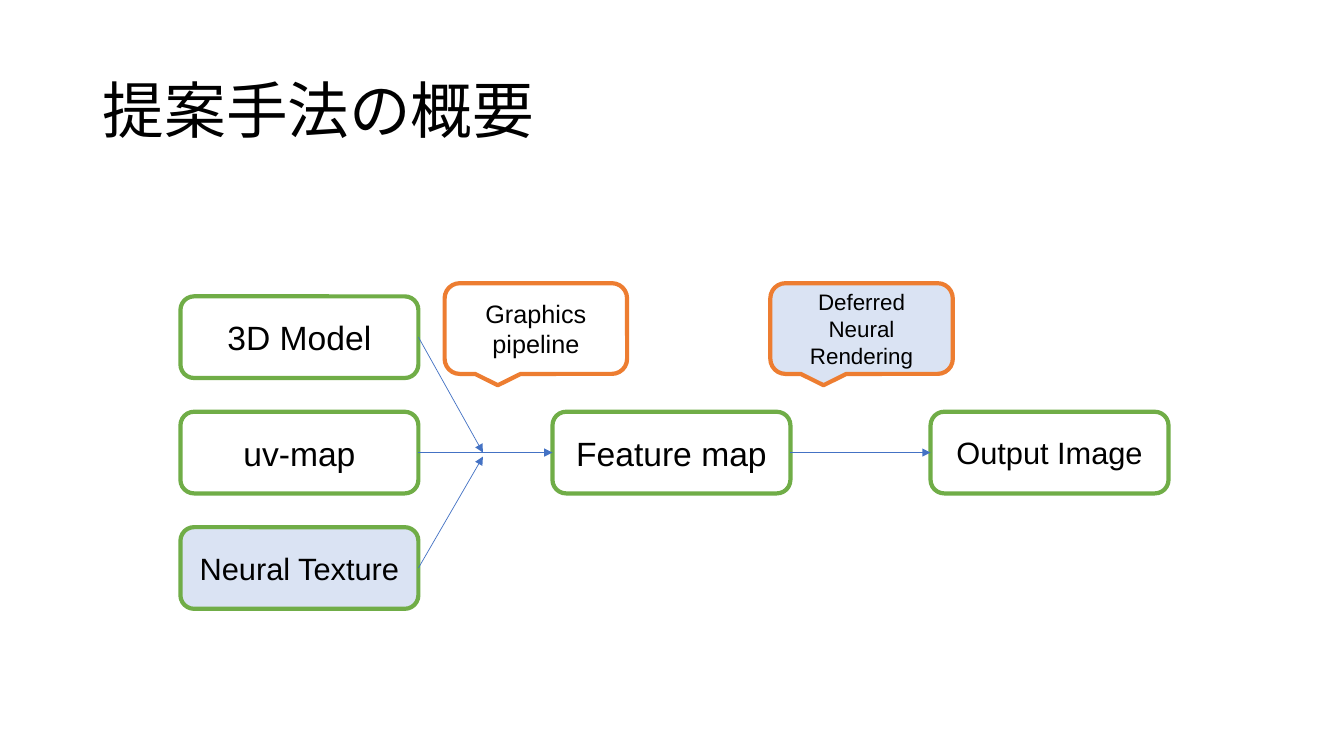
from dataclasses import dataclass

from lxml import etree
from pptx import Presentation
from pptx import util as u
from pptx.dml.color import RGBColor
from pptx.enum import lang, shapes, text
from pptx.oxml.ns import qn


@dataclass(frozen=True)
class Theme:
    """Colours, fonts, type sizes and grid of the slide."""
    ink: str = "000000"
    paper: str = "FFFFFF"
    highlight: str = "DAE3F3"
    data_line: str = "70AD47"
    process_line: str = "ED7D31"
    arrow: str = "4472C4"
    title_font: str = "Calibri"
    body_font: str = "Arial"
    title_size: int = 44
    large: int = 24
    medium: int = 22
    small: int = 18
    tiny: int = 16
    outline: float = 3
    arrow_width: float = 0.5
    columns: tuple = (1.79, 5.48, 9.23)
    first_row: float = 2.94
    row_pitch: float = 1.145
    box_size: tuple = (2.36, 0.81)
    callout_top: float = 2.81
    callout_size: tuple = (1.81, 0.9)


class FlowSlide:
    """Draws the elements of a flow diagram on one title-only slide."""

    def __init__(self, presentation, theme):
        self.theme = theme
        self.slide = presentation.slides.add_slide(presentation.slide_layouts[5])

    def format_text(self, frame, words, font_name, size, alignment):
        frame.text = words
        frame.word_wrap = True
        frame.auto_size = text.MSO_AUTO_SIZE.NONE
        frame.vertical_anchor = text.MSO_ANCHOR.MIDDLE
        paragraph = frame.paragraphs[0]
        paragraph.alignment = alignment
        font = paragraph.runs[0].font
        font.name, font.size = font_name, u.Pt(size)
        font.color.rgb = RGBColor.from_string(self.theme.ink)
        return paragraph

    def title(self, words):
        shape = self.slide.shapes.title
        shape.left, shape.top = u.Inches(0.92), u.Inches(0.4)
        shape.width, shape.height = u.Inches(11.5), u.Inches(1.45)
        paragraph = self.format_text(shape.text_frame, words, self.theme.title_font,
                                     self.theme.title_size, text.PP_ALIGN.LEFT)
        paragraph.line_spacing = 0.9
        paragraph.runs[0].font.language_id = lang.MSO_LANGUAGE_ID.JAPANESE

    def outlined(self, kind, left, top, extent, words, size, fill, line):
        shape = self.slide.shapes.add_shape(
            kind, *(u.Inches(length) for length in (left, top, *extent)))
        shape.shadow.inherit = False
        shape.fill.solid()
        shape.fill.fore_color.rgb = RGBColor.from_string(fill)
        shape.line.color.rgb = RGBColor.from_string(line)
        shape.line.width = u.Pt(self.theme.outline)
        self.format_text(shape.text_frame, words, self.theme.body_font, size,
                         text.PP_ALIGN.CENTER)
        return shape

    def box(self, column, row, words, size, fill):
        theme = self.theme
        return self.outlined(
            shapes.MSO_SHAPE.ROUNDED_RECTANGLE, theme.columns[column],
            theme.first_row + row * theme.row_pitch, theme.box_size,
            words, size, fill, theme.data_line)

    def callout(self, left, words, size, fill):
        theme = self.theme
        return self.outlined(
            shapes.MSO_SHAPE.ROUNDED_RECTANGULAR_CALLOUT, left, theme.callout_top,
            theme.callout_size, words, size, fill, theme.process_line)

    def arrow(self, source, end_x, end_y):
        connector = self.slide.shapes.add_connector(
            shapes.MSO_CONNECTOR.STRAIGHT, source.left + source.width,
            source.top + source.height // 2, end_x, end_y)
        connector.begin_connect(source, 3)
        connector.line.color.rgb = RGBColor.from_string(self.theme.arrow)
        connector.line.width = u.Pt(self.theme.arrow_width)
        properties = connector.line._get_or_add_ln()
        etree.SubElement(properties, qn("a:tailEnd"), type="triangle")
        etree.SubElement(properties.getparent(), qn("a:effectLst"))
        return connector

    def link(self, source, target):
        connector = self.arrow(source, target.left, target.top + target.height // 2)
        connector.end_connect(target, 1)


def main():
    presentation = Presentation()
    presentation.slide_width, presentation.slide_height = u.Inches(13.33), u.Inches(7.5)
    theme = Theme()
    flow = FlowSlide(presentation, theme)
    flow.title("提案手法の概要")

    model = flow.box(0, 0, "3D Model", theme.large, theme.paper)
    uv_map = flow.box(0, 1, "uv-map", theme.large, theme.paper)
    texture = flow.box(0, 2, "Neural Texture", theme.medium, theme.highlight)
    feature_map = flow.box(1, 1, "Feature map", theme.large, theme.paper)
    output = flow.box(2, 1, "Output Image", theme.medium, theme.paper)

    merge_x = u.Inches(4.79)
    flow.arrow(model, merge_x, u.Inches(4.49))
    flow.link(uv_map, feature_map)
    flow.arrow(texture, merge_x, u.Inches(4.53))
    flow.link(feature_map, output)

    flow.callout(7.64, "Deferred Neural Rendering", theme.tiny, theme.highlight)
    flow.callout(4.41, "Graphics pipeline", theme.small, theme.paper)
    presentation.save("out.pptx")


if __name__ == "__main__":
    main()
